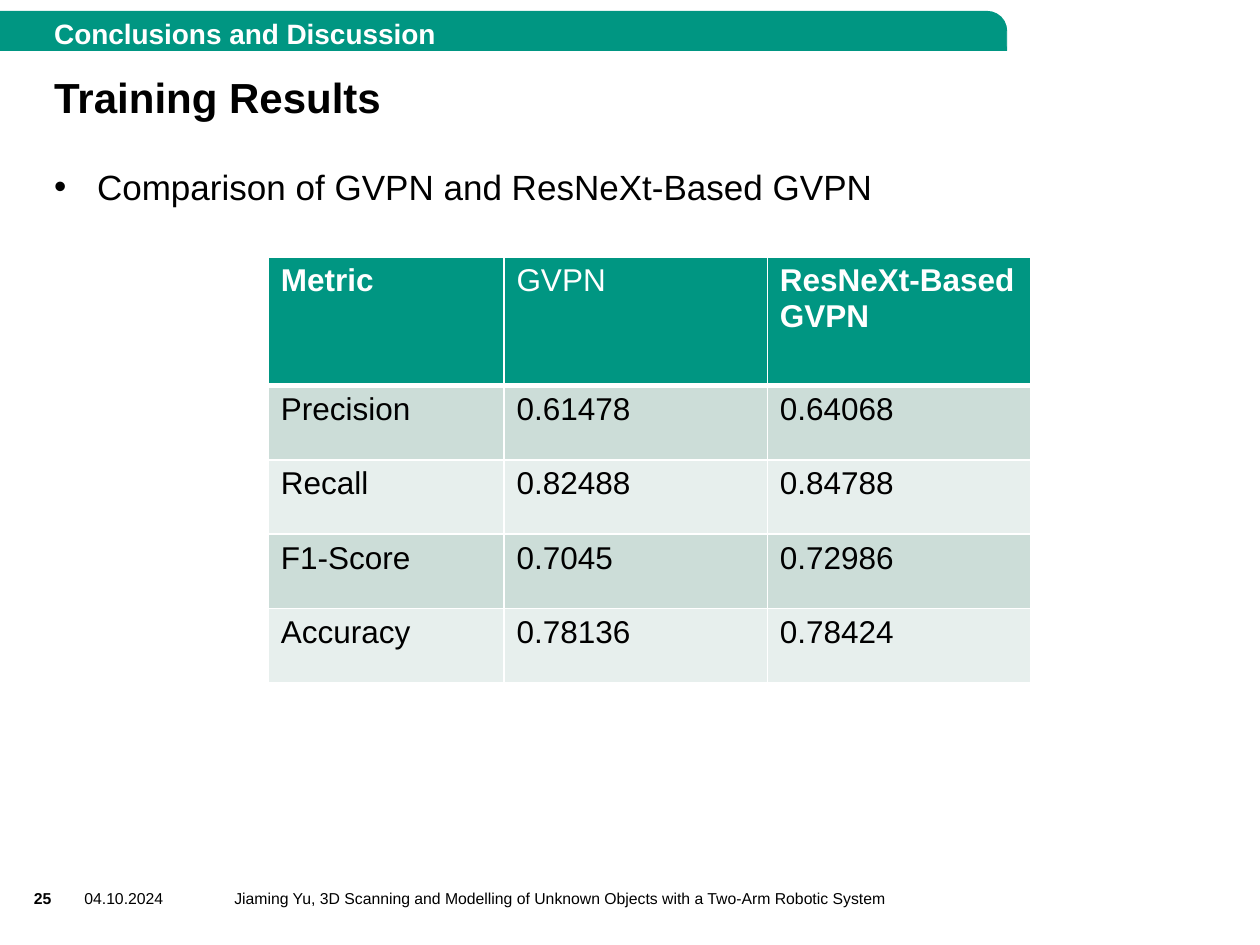
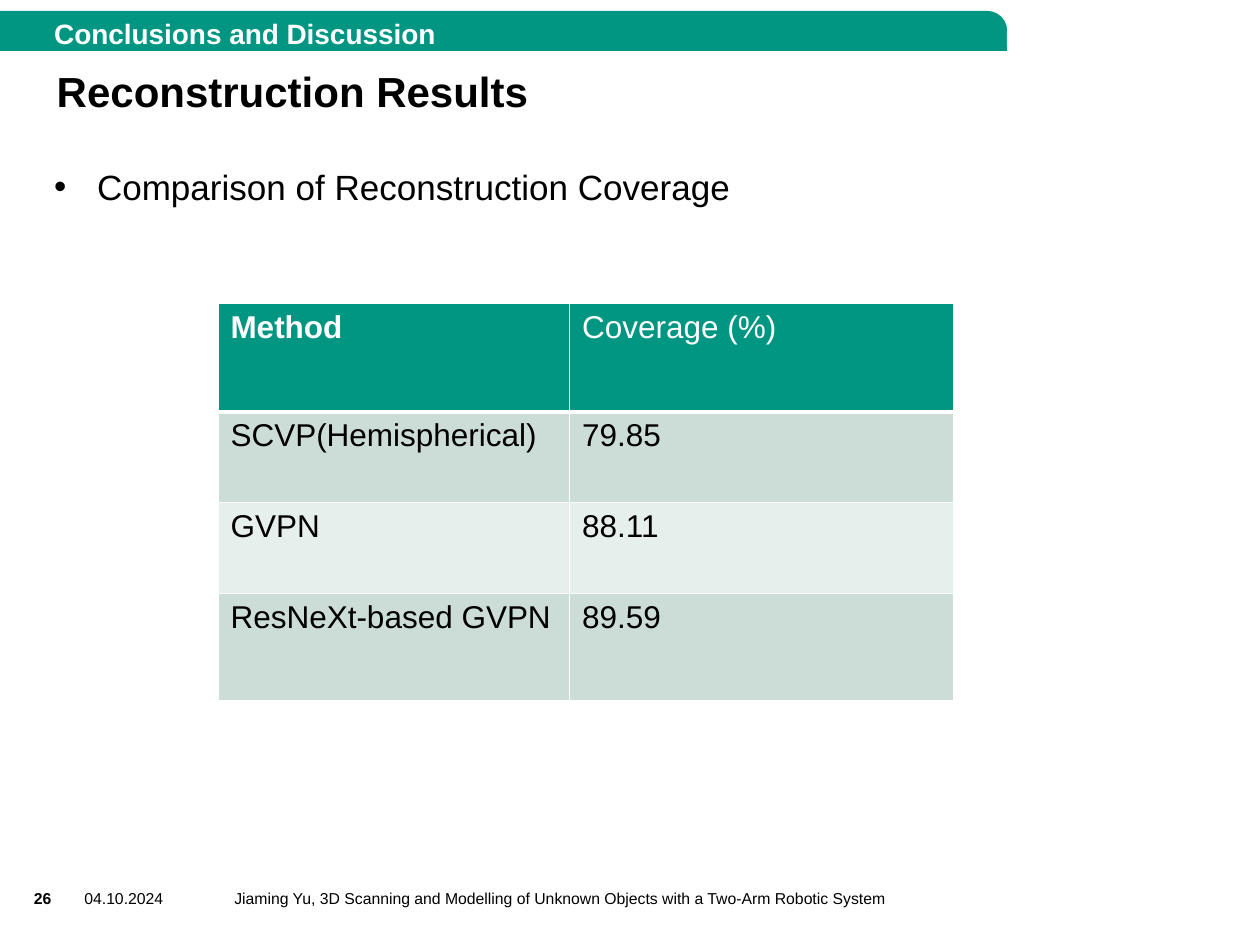
import pptx
import pptx.dml.color
import pptx.enum.shapes
import pptx.enum.text
import pptx.oxml
import pptx.oxml.ns
import pptx.util
from pptx.util import Inches

GREEN = pptx.dml.color.RGBColor(0x00, 0x96, 0x82)
BAND_DARK = pptx.dml.color.RGBColor(0xCC, 0xDD, 0xD8)
BAND_LIGHT = pptx.dml.color.RGBColor(0xE7, 0xEF, 0xED)
BLACK = pptx.dml.color.RGBColor(0, 0, 0)
WHITE = pptx.dml.color.RGBColor(255, 255, 255)

FONT = "Arial"
SECTION = "Conclusions and Discussion"
DATE = "04.10.2024"
FOOTER = ("Jiaming Yu, 3D Scanning and Modelling of Unknown Objects "
          "with a Two-Arm Robotic System")
BULLET_INDENT = Inches(0.34)
RULE, HEADER_RULE = pptx.util.Pt(1), pptx.util.Pt(3)


def add_run(paragraph, text, size, color=BLACK, bold=False):
    run = paragraph.add_run()
    run.text = text
    run.font.name = FONT
    run.font.size = pptx.util.Pt(size)
    run.font.color.rgb = color
    run.font.bold = bold


def place(shape, box):
    shape.left, shape.top, shape.width, shape.height = map(Inches, box)


def prepare_frame(shape, anchor=pptx.enum.text.MSO_ANCHOR.TOP):
    """Strip the insets and return the first paragraph, left-aligned."""
    frame = shape.text_frame
    frame.word_wrap = True
    frame.auto_size = pptx.enum.text.MSO_AUTO_SIZE.NONE
    frame.vertical_anchor = anchor
    frame.margin_left = frame.margin_right = 0
    frame.margin_top = frame.margin_bottom = 0
    paragraph = frame.paragraphs[0]
    paragraph.alignment = pptx.enum.text.PP_ALIGN.LEFT
    paragraph.space_before = 0
    return paragraph


def add_label(slide, box, text, size, color=BLACK, bold=False):
    label = slide.shapes.add_textbox(*map(Inches, box))
    add_run(prepare_frame(label), text, size, color, bold)


def add_section_band(slide):
    band = slide.shapes.add_shape(
        pptx.enum.shapes.MSO_SHAPE.ROUND_1_RECTANGLE,
        *map(Inches, (0, 0.09, 7.99, 0.31)))
    band.adjustments[0] = 0.5
    band.shadow.inherit = False
    band.fill.solid()
    band.fill.fore_color.rgb = GREEN
    band.line.color.rgb = GREEN
    band.line.width = pptx.util.Pt(0.5)
    add_label(slide, (0.43, 0.13, 7.41, 0.24), SECTION, 16, WHITE, True)


def add_footer(slide, number):
    add_label(slide, (0.27, 7.05, 0.36, 0.24), str(number), 9, bold=True)
    add_label(slide, (0.67, 7.05, 0.94, 0.39), DATE, 9)
    add_label(slide, (1.86, 7.05, 5.58, 0.39), FOOTER, 9)


def fill_title(slide, box, text):
    title = slide.shapes.title
    place(title, box)
    paragraph = prepare_frame(title, pptx.enum.text.MSO_ANCHOR.BOTTOM)
    add_run(paragraph, text, 24, bold=True)


def fill_bullet(slide, box, text):
    body = slide.placeholders[1]
    place(body, box)
    paragraph = prepare_frame(body)
    properties = paragraph._p.get_or_add_pPr()
    properties.set("marL", str(BULLET_INDENT))
    properties.set("indent", str(-BULLET_INDENT))
    properties.append(pptx.oxml.parse_xml(
        f'<a:buChar {pptx.oxml.ns.nsdecls("a")} char="•"/>'))
    add_run(paragraph, text, 20)


def add_borders(cell, top, bottom):
    properties = cell._tc.get_or_add_tcPr()
    for side, width in (("L", RULE), ("R", RULE), ("T", top), ("B", bottom)):
        properties.append(pptx.oxml.parse_xml(
            f'<a:ln{side} {pptx.oxml.ns.nsdecls("a")} w="{width}">'
            f'<a:solidFill><a:srgbClr val="{WHITE}"/></a:solidFill>'
            f'</a:ln{side}>'))


def add_results_table(slide, corner, widths, heights, rows, bold_headers):
    """Draw a green header over banded rows, with white rules between."""
    box = (*corner, sum(widths), sum(heights))
    table = slide.shapes.add_table(
        len(rows), len(widths), *map(Inches, box)).table
    for column, width in zip(table.columns, widths):
        column.width = Inches(width)
    for row, height in zip(table.rows, heights):
        row.height = Inches(height)
    for r, values in enumerate(rows):
        is_header = r == 0
        fill = GREEN if is_header else BAND_DARK if r % 2 else BAND_LIGHT
        for c, value in enumerate(values):
            cell = table.cell(r, c)
            add_borders(cell, HEADER_RULE if r == 1 else RULE,
                        HEADER_RULE if is_header else RULE)
            cell.fill.solid()
            cell.fill.fore_color.rgb = fill
            add_run(cell.text_frame.paragraphs[0], value, 18,
                    WHITE if is_header else BLACK,
                    is_header and value in bold_headers)


def add_results_slide(deck, number, title, title_corner, bullet, **table):
    slide = deck.slides.add_slide(deck.slide_layouts[1])
    add_section_band(slide)
    fill_title(slide, (*title_corner, 7.56, 0.61), title)
    fill_bullet(slide, (0.43, 1.31, 8.98, 5.35), bullet)
    add_results_table(slide, **table)
    add_footer(slide, number)


def main():
    deck = pptx.Presentation()
    deck.slide_width, deck.slide_height = Inches(10), Inches(7.5)
    add_results_slide(
        deck, 25, "Training Results", (0.43, 0.36),
        "Comparison of GVPN and ResNeXt-Based GVPN",
        corner=(2.13, 2.04),
        widths=[1.87, 2.09, 2.09],
        heights=[1.02] + [0.59] * 4,
        rows=[("Metric", "GVPN", "ResNeXt-Based GVPN"),
              ("Precision", "0.61478", "0.64068"),
              ("Recall", "0.82488", "0.84788"),
              ("F1-Score", "0.7045", "0.72986"),
              ("Accuracy", "0.78136", "0.78424")],
        bold_headers=("Metric", "ResNeXt-Based GVPN"))
    add_results_slide(
        deck, 26, "Reconstruction Results", (0.45, 0.31),
        "Comparison of Reconstruction Coverage",
        corner=(1.73, 2.41),
        widths=[2.79, 3.05],
        heights=[0.86, 0.72, 0.72, 0.85],
        rows=[("Method", "Coverage (%)"),
              ("SCVP(Hemispherical)", "79.85"),
              ("GVPN", "88.11"),
              ("ResNeXt-based GVPN", "89.59")],
        bold_headers=("Method",))
    deck.save("out.pptx")


if __name__ == "__main__":
    main()
